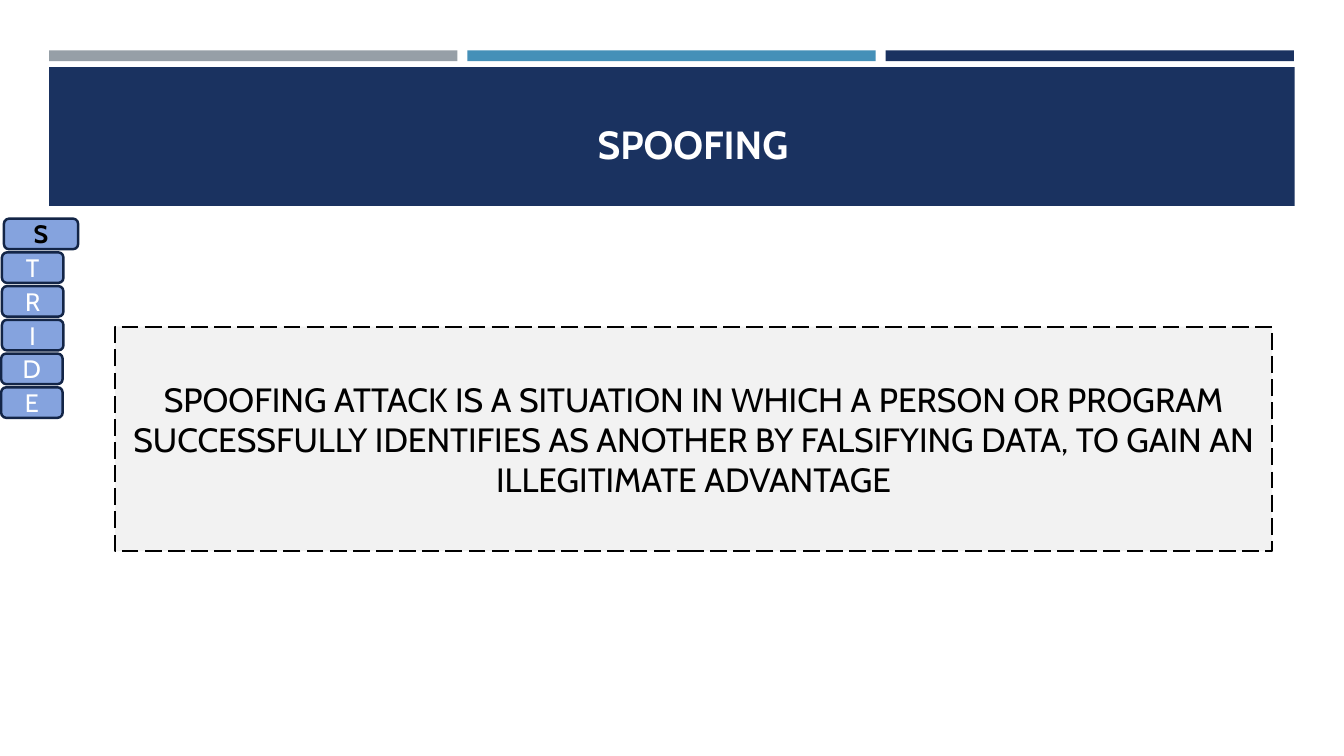
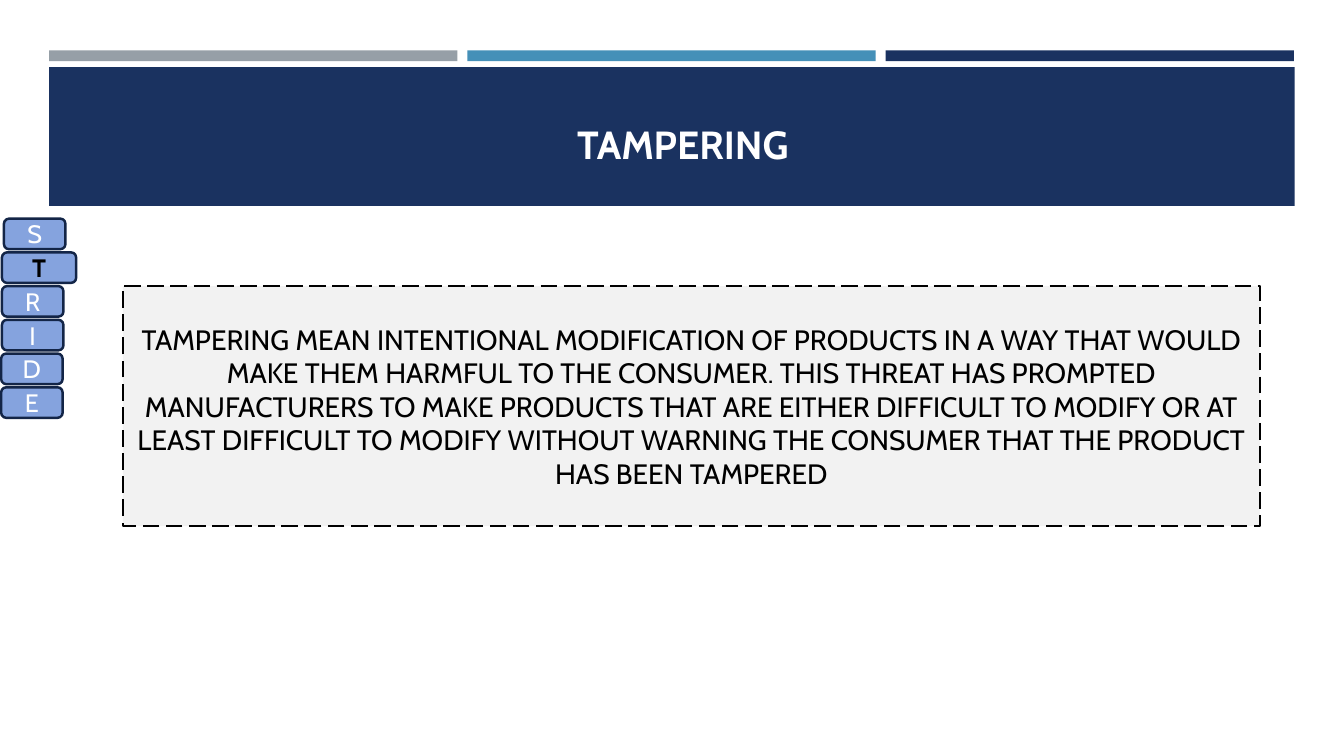
"""Build two slides on spoofing and tampering, with a STRIDE index at the left."""
from pptx import Presentation
from pptx.dml.color import RGBColor
from pptx.enum import dml, shapes, text
from pptx.util import Cm, Pt

HUES = {
    "navy": "1A3260", "grey": "969FA7", "blue": "4590B8",
    "tab": "85A3DE", "edge": "132547", "pale": "F2F2F2",
    "black": "000000", "white": "FFFFFF",
}
FONT = "Cabin"
KINDS = shapes.MSO_SHAPE
ALIGN = text.PP_ALIGN
ANCHOR = text.MSO_ANCHOR


def write(shape, words, size=18, hue="white", bold=False,
          align=ALIGN.CENTER, anchor=ANCHOR.MIDDLE, pad=0.25):
    frame = shape.text_frame
    frame.word_wrap = True
    frame.vertical_anchor = anchor
    frame.margin_left = frame.margin_right = Cm(pad)
    frame.margin_top = frame.margin_bottom = Cm(pad / 2)
    para = frame.paragraphs[0]
    para.alignment = align
    run = para.add_run()
    run.text = words
    run.font.name = FONT
    run.font.size = Pt(size)
    run.font.bold = bold
    run.font.color.rgb = RGBColor.from_string(HUES[hue])


def block(slide, place, fill, kind=KINDS.RECTANGLE, edge=None, width=1.5):
    shape = slide.shapes.add_shape(kind, *map(Cm, place))
    shape.shadow.inherit = False
    shape.fill.solid()
    shape.fill.fore_color.rgb = RGBColor.from_string(HUES[fill])
    if edge:
        shape.line.color.rgb = RGBColor.from_string(HUES[edge])
        shape.line.width = Pt(width)
    else:
        shape.line.fill.background()
    return shape


deck = Presentation()
deck.slide_width, deck.slide_height = Cm(33.87), Cm(19.05)

BARS = ["grey", "blue", "navy"]
TABS = [("S", 0.1), ("T", 0.05), ("R", 0.05), ("I", 0.05), ("D", 0.03), ("E", 0.03)]
TOPICS = [
    ("SPOOFING", (2.9, 8.23, 29.16, 5.66), 24,
     "SPOOFING ATTACK IS A SITUATION IN WHICH A PERSON OR PROGRAM SUCCESSFULLY "
     "IDENTIFIES AS ANOTHER BY FALSIFYING DATA, TO GAIN AN ILLEGITIMATE ADVANTAGE"),
    ("TAMPERING", (3.1, 7.21, 28.65, 6.05), 20,
     "TAMPERING MEAN INTENTIONAL MODIFICATION OF PRODUCTS IN A WAY THAT WOULD MAKE "
     "THEM HARMFUL TO THE CONSUMER. THIS THREAT HAS PROMPTED MANUFACTURERS TO MAKE "
     "PRODUCTS THAT ARE EITHER DIFFICULT TO MODIFY OR AT LEAST DIFFICULT TO MODIFY "
     "WITHOUT WARNING THE CONSUMER THAT THE PRODUCT HAS BEEN TAMPERED"),
]

for title, place, size, words in TOPICS:
    slide = deck.slides.add_slide(deck.slide_layouts[6])

    for i, hue in enumerate(BARS):
        block(slide, (1.24 + 10.54 * i, 1.27, 10.29, 0.27), hue)
    block(slide, (1.24, 1.69, 31.39, 3.5), "navy")
    head = slide.shapes.add_textbox(Cm(12.17), Cm(1.6), Cm(7.95), Cm(2.74))
    write(head, title, size=28, bold=True, align=ALIGN.RIGHT, anchor=ANCHOR.BOTTOM)

    for i, (letter, left) in enumerate(TABS):
        live = letter == title[0]
        tab = block(slide, (left, 5.51 + 0.85 * i, 1.87 if live else 1.55, 0.77),
                    "tab", kind=KINDS.ROUNDED_RECTANGLE, edge="edge", width=1.75)
        write(tab, letter, hue="black" if live else "white", bold=live, pad=0)

    box = block(slide, place, "pale", edge="black")
    box.line.dash_style = dml.MSO_LINE.LONG_DASH
    write(box, words, size=size, hue="black")

deck.save("out.pptx")
